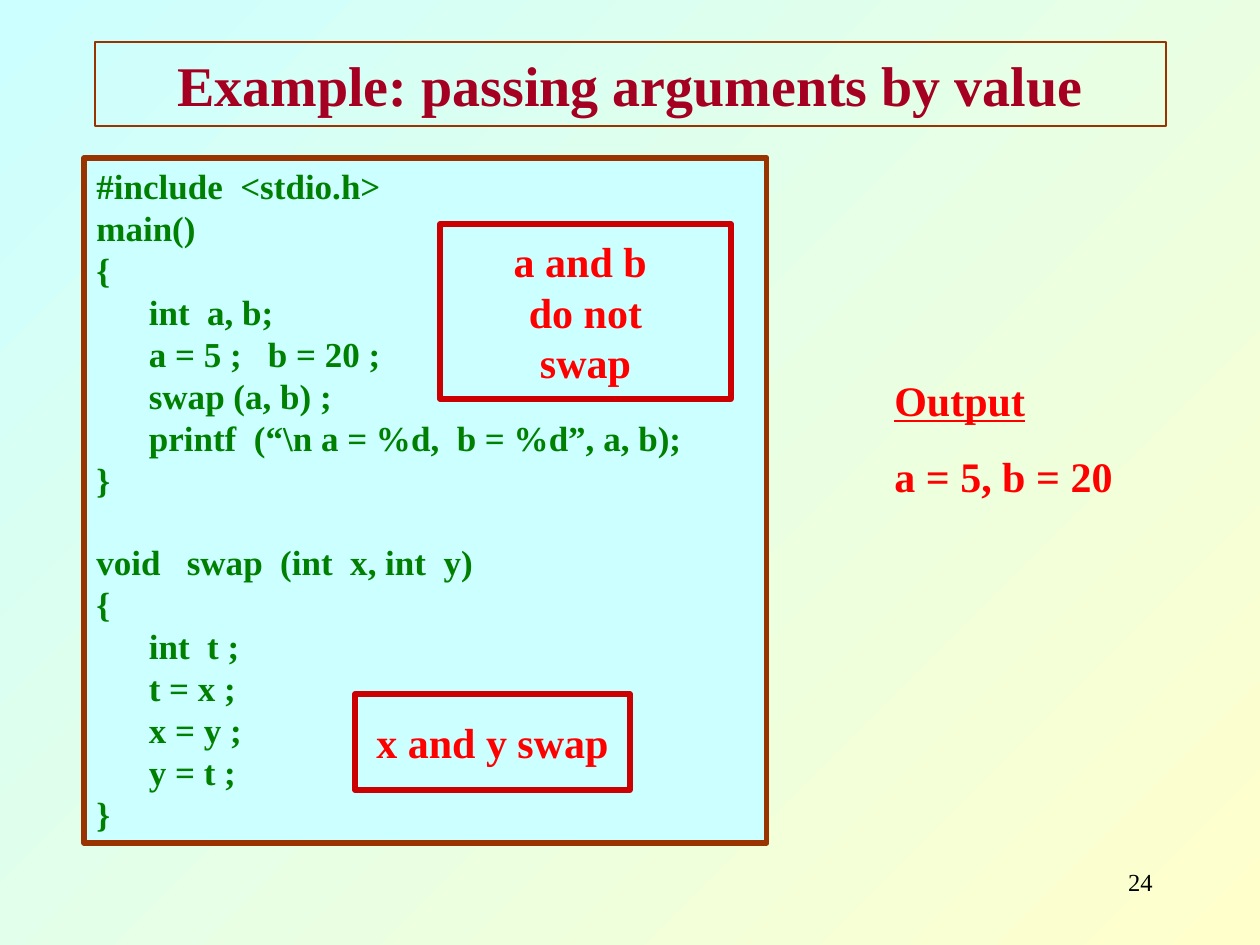
from pptx import Presentation
from pptx.dml.color import RGBColor
from pptx.enum.shapes import MSO_SHAPE
from pptx.enum.text import MSO_ANCHOR, PP_ALIGN
from pptx.util import Emu, Pt

PX = 914400 / 126
FONT = "Times New Roman"
COLORS = {
    "cream": "FFFFCC", "aqua": "CCFFFF", "brown": "993300", "crimson": "CC0000",
    "title": "A50021", "code": "008000", "note": "FF0000", "number": "000000",
}

TITLE = ["Example: passing arguments by value"]
MAIN_CODE = [
    "#include  <stdio.h>",
    "main()",
    "{",
    "      int  a, b;",
    "      a = 5 ;   b = 20 ;",
    "      swap (a, b) ;",
    "      printf  (“\\n a = %d,  b = %d”, a, b);",
    "}",
]
SWAP_CODE = [
    "void   swap  (int  x, int  y)",
    "{",
    "      int  t ;",
    "      t = x ;",
    "      x = y ;",
    "      y = t ;",
    "}",
]
OUTPUT = ["Output", "a = 5, b = 20"]
CALLOUTS = [
    ((355, 694, 275, 96), ["x and y swap"]),
    ((440, 224, 291, 175), ["a and b ", "do not", "swap"]),
]


def rgb(name):
    return RGBColor.from_string(COLORS[name])


def write(sp, lines, size, color, bold=True, align=PP_ALIGN.LEFT,
          anchor=MSO_ANCHOR.TOP, wrap=True):
    tf = sp.text_frame
    tf.word_wrap = wrap
    tf.vertical_anchor = anchor
    tf.text = "\n".join(lines)
    for p in tf.paragraphs:
        p.alignment = align
        for r in p.runs:
            r.font.name = FONT
            r.font.size = Pt(size)
            r.font.bold = bold
            r.font.color.rgb = rgb(color)
    return tf.paragraphs


def add_box(s, rect, line, width, fill=None):
    sp = s.shapes.add_shape(MSO_SHAPE.RECTANGLE, *[Emu(round(v * PX)) for v in rect])
    sp.shadow.inherit = False
    if fill:
        sp.fill.solid()
        sp.fill.fore_color.rgb = rgb(fill)
    else:
        sp.fill.background()
    sp.line.color.rgb = rgb(line)
    sp.line.width = Pt(width)
    return sp


def add_text(s, rect):
    return s.shapes.add_textbox(*[Emu(round(v * PX)) for v in rect])


def main():
    prs = Presentation()
    prs.slide_width = Emu(round(1260 * PX))
    prs.slide_height = Emu(round(945 * PX))
    s = prs.slides.add_slide(prs.slide_layouts[6])

    fill = s.background.fill
    fill.gradient()
    fill.gradient_angle = 135
    for stop, name in zip(fill.gradient_stops, ("cream", "aqua")):
        stop.color.rgb = rgb(name)

    title = add_box(s, (95, 42, 1071, 84), "brown", 0.75)
    write(title, TITLE, 32, "title", align=PP_ALIGN.CENTER, anchor=MSO_ANCHOR.MIDDLE)

    code = add_box(s, (84, 158, 683, 685), "brown", 3, "aqua")
    lines = write(code, MAIN_CODE + SWAP_CODE, 20, "code")
    lines[len(MAIN_CODE)].space_before = Pt(23)

    output = add_text(s, (882, 368, 315, 140))
    heading, values = write(output, OUTPUT, 24, "note")
    heading.runs[0].font.underline = True
    values.space_before = Pt(15)

    for rect, text in CALLOUTS:
        callout = add_box(s, rect, "crimson", 3, "aqua")
        write(callout, text, 24, "note", align=PP_ALIGN.CENTER,
              anchor=MSO_ANCHOR.MIDDLE, wrap=False)

    number = add_text(s, (903, 861, 262, 63))
    write(number, ["24"], 14, "number", bold=False, align=PP_ALIGN.RIGHT)

    prs.save("out.pptx")


if __name__ == "__main__":
    main()
